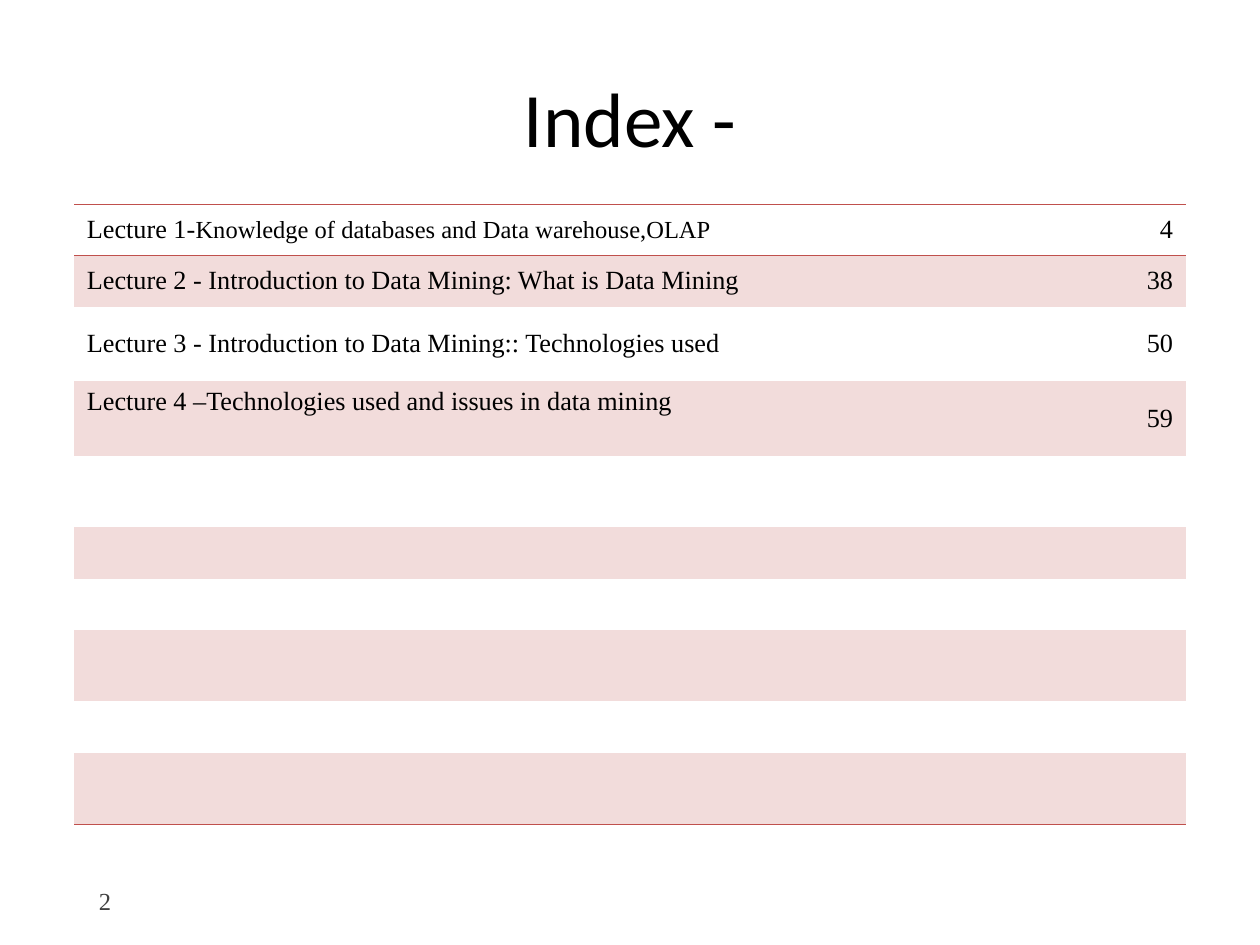
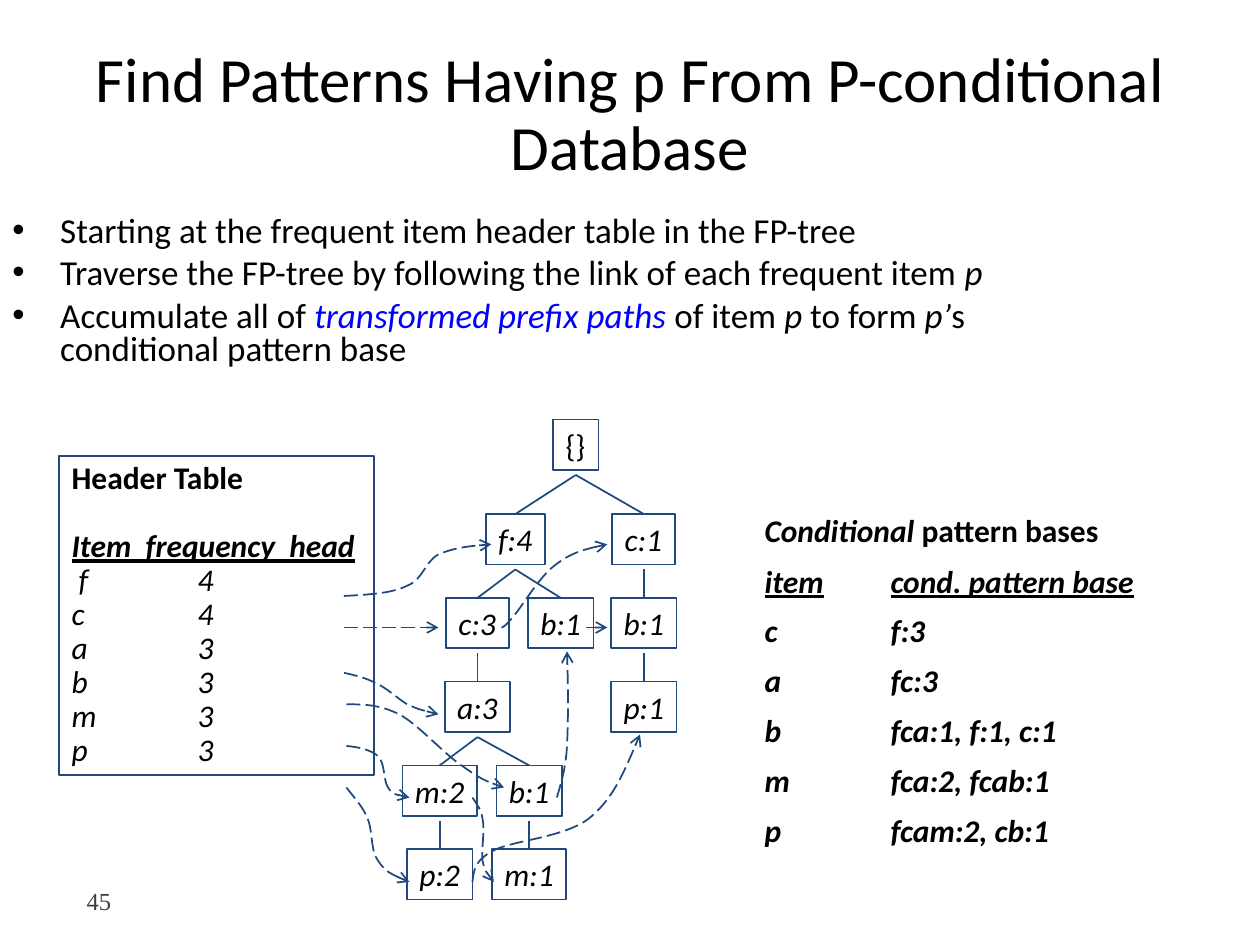
from lxml import etree
from pptx import Presentation
from pptx.dml.color import RGBColor
from pptx.enum.dml import MSO_LINE
from pptx.enum.shapes import MSO_CONNECTOR, MSO_SHAPE
from pptx.enum.text import MSO_ANCHOR, MSO_AUTO_SIZE, PP_ALIGN
from pptx.oxml.ns import qn
from pptx.util import Inches, Pt

LEFT, CENTER, RIGHT = PP_ALIGN.LEFT, PP_ALIGN.CENTER, PP_ALIGN.RIGHT
TOP, MIDDLE = MSO_ANCHOR.TOP, MSO_ANCHOR.MIDDLE
GROW = MSO_AUTO_SIZE.SHAPE_TO_FIT_TEXT
LONG_DASH = MSO_LINE.LONG_DASH
STRAIGHT = MSO_CONNECTOR.STRAIGHT
RECTANGLE = MSO_SHAPE.RECTANGLE

SANS, SERIF = "Calibri", "Times New Roman"
BLACK, GRAY, BLUE, NAVY = "000000", "404040", "0000FF", "1F497D"
RED, BAND = "C0504D", "F2DCDB"
NO_TABLE_STYLE = "{2D5ABB26-0587-4C30-8999-92F81FD0307C}"
ITALIC = {"italic": True}

LECTURES = [
    ([("Lecture 1-", {}),
      ("Knowledge of databases and Data warehouse,OLAP", {"size": 14})], "4"),
    ("Lecture 2 - Introduction to Data Mining: What is Data Mining", "38"),
    ("Lecture 3 - Introduction to Data Mining:: Technologies used", "50"),
    ("Lecture 4 –Technologies used and issues in data mining", "59"),
]
INDEX_COLUMNS = [6.54, 2.28]
INDEX_ROWS = [0.41, 0.41, 0.59, 0.6, 0.57, 0.41, 0.41, 0.57, 0.41, 0.57]
INDEX_HEIGHT = 4.92
RULES = {0: ("lnT", "lnB"), 9: ("lnB",)}

STEPS = [
    "Starting at the frequent item header table in the FP-tree",
    [("Traverse the FP-tree by following the link of each frequent item ", {}),
     ("p", ITALIC)],
    [("Accumulate all of ", {}),
     ("transformed prefix paths", {"italic": True, "color": BLUE}),
     (" of item ", {}), ("p ", ITALIC), ("to form ", {}), ("p’", ITALIC),
     ("s conditional pattern base", {})],
]
PATTERN_BASES = [("c", "f:3"), ("a", "fc:3"), ("b", "fca:1, f:1, c:1"),
                 ("m", "fca:2, fcab:1"), ("p", "fcam:2, cb:1")]
FREQUENCIES = [(" f", 4), ("c", 4), ("a", 3), ("b", 3), ("m", 3), ("p", 3)]

LEVEL_TOPS = [3.33] + [4.08 + 0.665 * step for step in range(5)]
NODE_WIDTHS = {"{": 0.36, "f": 0.47, "c": 0.5, "m": 0.59}
NODES = [
    ("{}", 4.57, 0, None),
    ("f:4", 4.09, 1, 0),
    ("c:1", 5.11, 1, 0),
    ("c:3", 3.79, 2, 1),
    ("b:1", 4.45, 2, 1),
    ("b:1", 5.11, 2, 2),
    ("a:3", 3.79, 3, 3),
    ("p:1", 5.11, 3, 5),
    ("m:2", 3.49, 4, 6),
    ("b:1", 4.2, 4, 6),
    ("p:2", 3.49, 5, 8),
    ("m:1", 4.2, 5, 9),
]
STRAIGHT_LINKS = [((2.73, 4.98), (3.48, 4.98)), ((4.65, 4.98), (4.82, 4.98))]
CURVED_LINKS = [
    [(2.73, 4.73), (2.92, 4.72), (3.11, 4.71), (3.23, 4.65), (3.36, 4.6),
     (3.37, 4.46), (3.48, 4.4), (3.6, 4.35), (3.75, 4.33), (3.9, 4.32)],
    [(3.98, 4.98), (3.99, 4.98), (4, 4.98), (4.07, 4.9), (4.14, 4.82),
     (4.28, 4.58), (4.4, 4.49), (4.53, 4.39), (4.67, 4.35), (4.82, 4.32)],
    [(2.73, 5.34), (2.82, 5.36), (2.9, 5.38), (2.98, 5.42), (3.07, 5.46),
     (3.15, 5.54), (3.23, 5.59), (3.32, 5.63), (3.4, 5.65), (3.48, 5.67)],
    [(2.75, 5.59), (2.88, 5.59), (3.01, 5.59), (3.17, 5.67), (3.32, 5.75),
     (3.53, 5.99), (3.67, 6.08), (3.81, 6.18), (3.9, 6.22), (4, 6.25)],
    [(4.42, 6.33), (4.45, 6.22), (4.49, 6.11), (4.5, 5.92),
     (4.51, 5.72), (4.51, 5.45), (4.5, 5.17)],
    [(2.75, 5.92), (2.85, 5.93), (2.94, 5.95), (3, 6), (3.06, 6.06),
     (3.04, 6.19), (3.08, 6.25), (3.12, 6.31), (3.19, 6.32), (3.25, 6.33)],
    [(3.75, 6.33), (3.78, 6.38), (3.82, 6.42), (3.83, 6.5), (3.85, 6.58),
     (3.82, 6.75), (3.83, 6.83), (3.85, 6.92), (3.88, 6.96), (3.92, 7)],
    [(2.75, 6.25), (2.81, 6.33), (2.88, 6.4), (2.92, 6.5), (2.96, 6.6),
     (2.94, 6.75), (3, 6.83), (3.06, 6.92), (3.15, 6.96), (3.25, 7)],
    [(3.75, 7), (3.76, 6.92), (3.76, 6.83), (3.92, 6.75), (4.07, 6.67),
     (4.47, 6.65), (4.67, 6.5), (4.86, 6.35), (4.97, 6.09), (5.08, 5.83)],
]


def rgb(code):
    return RGBColor.from_string(code)


def add_part(parent, tag, **attributes):
    return etree.SubElement(parent, qn("a:" + tag), **attributes)


def add_text(frame, text, size=18, font=SANS, color=BLACK, bold=False,
             italic=False, underline=False, align=LEFT, spacing=1.0,
             before=0, bullet=None, tab=None):
    para = frame.paragraphs[0]
    if para.runs:
        para = frame.add_paragraph()
        para.space_before = Pt(before)
    para.alignment = align
    para.line_spacing = spacing
    properties = para._p.get_or_add_pPr()
    if bullet:
        properties.set("marL", str(Inches(0.38)))
        properties.set("indent", str(Inches(-0.38)))
        add_part(properties, "buFont", typeface="Arial")
        add_part(properties, "buChar", char=bullet)
    if tab:
        stops = add_part(properties, "tabLst")
        add_part(stops, "tab", pos=str(Inches(tab)), algn="l")
    shared = dict(size=size, color=color, bold=bold, italic=italic,
                  underline=underline)
    for words, changes in [(text, {})] if isinstance(text, str) else text:
        look = {**shared, **changes}
        span = para.add_run()
        span.text = words
        span.font.name = font
        span.font.size = Pt(look["size"])
        span.font.color.rgb = rgb(look["color"])
        span.font.bold = look["bold"]
        span.font.italic = look["italic"]
        span.font.underline = look["underline"]


def add_box(page, left, top, width, height, anchor=TOP):
    box = page.shapes.add_textbox(*map(Inches, (left, top, width, height)))
    box.text_frame.word_wrap = True
    box.text_frame.vertical_anchor = anchor
    return box.text_frame


def add_page(deck, title, number, size, spacing):
    page = deck.slides.add_slide(deck.slide_layouts[6])
    add_text(add_box(page, 0.5, 0.3, 9, 1.25, MIDDLE), title, size=size,
             align=CENTER, spacing=spacing)
    add_text(add_box(page, 0.46, 6.95, 0.52, 0.4, MIDDLE), number, size=14,
             font=SERIF, color=GRAY, align=RIGHT)
    return page


def add_frame(page, left, top, width, height):
    box = page.shapes.add_shape(
        RECTANGLE, *map(Inches, (left, top, width, height)))
    box.shadow.inherit = False
    box.fill.background()
    style_line(box)
    frame = box.text_frame
    frame.word_wrap = False
    frame.auto_size = GROW
    frame.vertical_anchor = TOP
    return frame


def style_line(shape, arrow=False):
    shape.line.color.rgb = rgb(NAVY)
    shape.line.width = Pt(1)
    if arrow:
        shape.line.dash_style = LONG_DASH
        add_part(shape._element.spPr.find(qn("a:ln")), "tailEnd", type="arrow")


def add_line(page, start, end, arrow=False):
    line = page.shapes.add_connector(STRAIGHT, *map(Inches, start + end))
    style_line(line, arrow)
    add_part(line._element.spPr, "effectLst")


def add_curve(page, points):
    points = [(Inches(x), Inches(y)) for x, y in points]
    builder = page.shapes.build_freeform(*points[0])
    builder.add_line_segments(points[3::3], close=False)
    curve = builder.convert_to_shape()
    curve.shadow.inherit = False
    curve.fill.background()
    style_line(curve, arrow=True)
    outline = next(curve._element.iter(qn("a:path")))
    for index, segment in enumerate(outline.findall(qn("a:lnTo"))):
        bend = etree.Element(qn("a:cubicBezTo"))
        for x, y in points[3 * index + 1:3 * index + 4]:
            add_part(bend, "pt", x=str(x - curve.left), y=str(y - curve.top))
        outline.replace(segment, bend)


def add_border(cell, side):
    border = etree.Element(qn("a:" + side), w=str(Pt(0.45)))
    add_part(add_part(border, "solidFill"), "srgbClr", val=RED)
    cell._tc.get_or_add_tcPr().insert(0, border)


def add_index(page):
    graphic = page.shapes.add_table(
        len(INDEX_ROWS), len(INDEX_COLUMNS), Inches(0.59), Inches(1.62),
        Inches(sum(INDEX_COLUMNS)), Inches(INDEX_HEIGHT))
    table = graphic.table
    table.first_row = table.horz_banding = False
    table._tbl.tblPr.find(qn("a:tableStyleId")).text = NO_TABLE_STYLE
    for column, width in zip(table.columns, INDEX_COLUMNS):
        column.width = Inches(width)
    for index, height in enumerate(INDEX_ROWS):
        row = table.rows[index]
        row.height = Inches(height * INDEX_HEIGHT / sum(INDEX_ROWS))
        for cell in row.cells:
            cell.vertical_anchor = MIDDLE
            if index % 2:
                cell.fill.solid()
                cell.fill.fore_color.rgb = rgb(BAND)
            else:
                cell.fill.background()
            for side in reversed(RULES.get(index, ())):
                add_border(cell, side)
    for index, lecture in enumerate(LECTURES):
        for column, (text, align) in enumerate(zip(lecture, (LEFT, RIGHT))):
            add_text(table.cell(index, column).text_frame, text, size=15,
                     font=SERIF, align=align)
    table.cell(3, 0).vertical_anchor = TOP


def add_tree(page):
    for label, center, level, parent in NODES:
        width = NODE_WIDTHS.get(label[0], 0.52)
        top = LEVEL_TOPS[level]
        frame = add_frame(page, center - width / 2, top, width, 0.4)
        add_text(frame, label, italic=label != "{}")
        if parent is not None:
            _, parent_center, parent_level, _ = NODES[parent]
            add_line(page, (parent_center, LEVEL_TOPS[parent_level] + 0.44),
                     (center, top))


def add_pattern_bases(page):
    frame = add_box(page, 5.97, 4.01, 3.64, 2.78)
    add_text(frame, [("Conditional ", ITALIC), ("pattern bases", {})],
             bold=True)
    row = dict(bold=True, italic=True, spacing=0.8, before=11.2, tab=1)
    add_text(frame, "item\tcond. pattern base", underline=True, **row)
    for item, base in PATTERN_BASES:
        add_text(frame, f"{item}\t{base}", **row)


def add_header_table(page):
    frame = add_frame(page, 0.47, 3.62, 2.5, 2.53)
    add_text(frame, "Header Table", bold=True, spacing=0.9)
    add_text(frame, "Item  frequency  head", bold=True, italic=True,
             underline=True, spacing=0.9, before=19.5)
    for item, count in FREQUENCIES:
        add_text(frame, f"{item}\t{count}", italic=True, spacing=0.9, tab=1)


def main():
    deck = Presentation()
    deck.slide_width, deck.slide_height = Inches(10), Inches(7.5)

    add_index(add_page(deck, "Index -", "2", 44, 1.0))

    page = add_page(deck, "Find Patterns Having p From P-conditional Database",
                    "45", 36, 0.9)
    steps = add_box(page, 0, 1.67, 8.67, 1.48)
    for step in STEPS:
        add_text(steps, step, size=20, spacing=0.8, before=5, bullet="•")
    add_pattern_bases(page)
    add_tree(page)
    add_header_table(page)
    for start, end in STRAIGHT_LINKS:
        add_line(page, start, end, arrow=True)
    for points in CURVED_LINKS:
        add_curve(page, points)

    deck.save("out.pptx")


if __name__ == "__main__":
    main()
